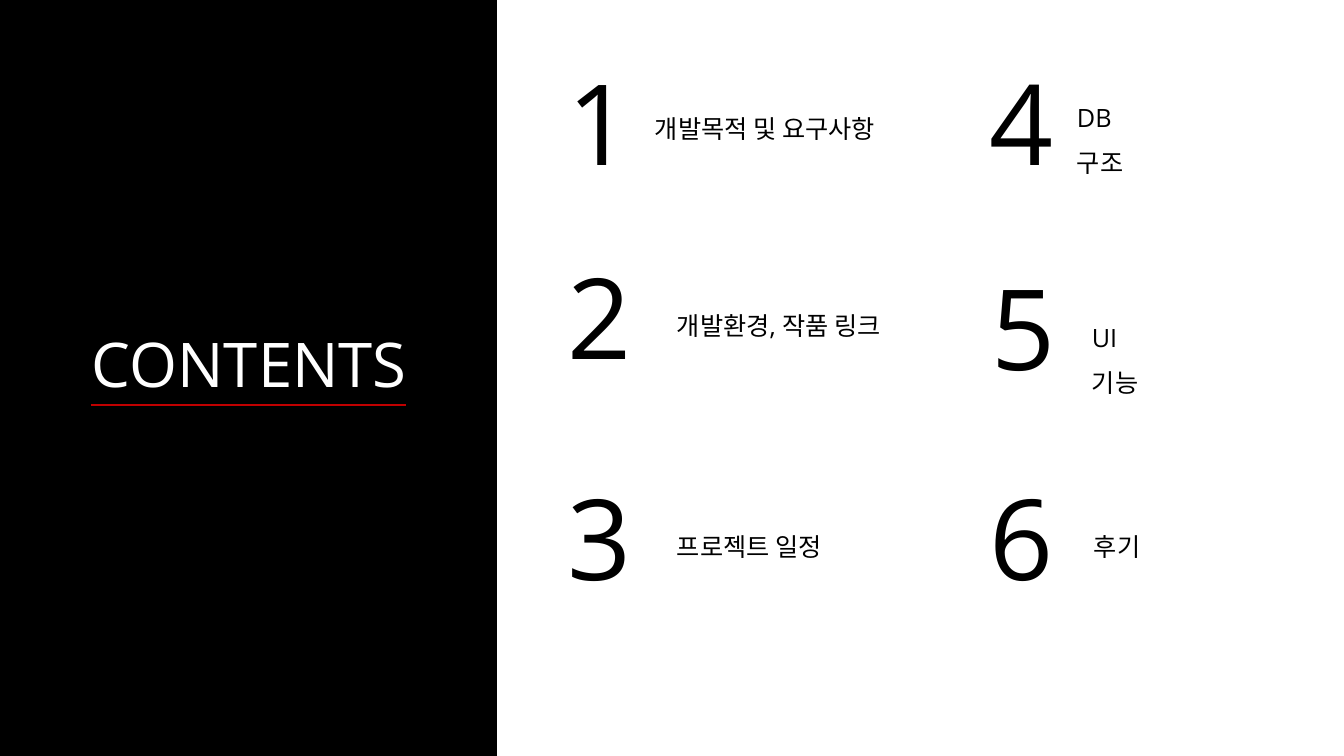
from lxml.etree import SubElement
from pptx import Presentation
from pptx.dml.color import RGBColor
from pptx.enum.shapes import MSO_CONNECTOR, MSO_SHAPE
from pptx.enum.text import MSO_ANCHOR, MSO_AUTO_SIZE, PP_ALIGN
from pptx.oxml.ns import qn
from pptx.util import Pt

PX = 914400 / 100.8
COLORS = {"black": "000000", "white": "FFFFFF", "red": "C00000"}
LATIN, KOREAN = "Open Sans", "Noto Sans CJK KR"

TITLE = "CONTENTS"
# number, (left, top), label, label box, label font, label wraps
ITEMS = [
    ("1", (558, 49), "개발목적 및 요구사항", (645, 93, 259, 56), KOREAN, False),
    ("2", (558, 243), "개발환경, 작품 링크", (667, 290, 240, 56), LATIN, False),
    ("3", (558, 464), "프로젝트 일정", (667, 511, 177, 50), LATIN, False),
    ("4", (980, 49), "DB 구조", (1067, 82, 96, 50), LATIN, True),
    ("5", (982, 254), "UI 기능", (1082, 302, 90, 50), LATIN, True),
    ("6", (980, 464), "후기", (1084, 511, 72, 50), LATIN, False),
]
NUMBER_SIZE = (86, 146)


def emu(*lengths):
    return [round(n * PX) for n in lengths]


def color(name):
    return RGBColor.from_string(COLORS[name])


def write(s, text, size, ink="black", font=LATIN, wrap=False, spacing=None):
    tf = s.text_frame
    tf.text = text
    tf.word_wrap = wrap
    tf.auto_size = MSO_AUTO_SIZE.SHAPE_TO_FIT_TEXT
    tf.vertical_anchor = MSO_ANCHOR.TOP
    p = tf.paragraphs[0]
    if spacing:
        p.line_spacing = spacing
    r = p.runs[0]
    r.font.size = Pt(size)
    r.font.name = font
    r.font.color.rgb = color(ink)
    SubElement(r.font._element, qn("a:ea")).set("typeface", KOREAN)
    return p


prs = Presentation()
prs.slide_width, prs.slide_height = emu(1344, 756)
slide = prs.slides.add_slide(prs.slide_layouts[5])
shapes = slide.shapes

# Black side panel, placed behind the title
panel = shapes.add_shape(MSO_SHAPE.RECTANGLE, *emu(0, 0, 497, 756))
panel.shadow.inherit = False
panel.fill.solid()
panel.fill.fore_color.rgb = color("black")
panel.line.fill.background()
title = shapes.title
panel._element.addnext(title._element)

# Title and its underline
title.left, title.top, title.width, title.height = emu(71, 321, 357, 85)
write(title, TITLE, 44, "white").alignment = PP_ALIGN.CENTER
underline = shapes.add_connector(MSO_CONNECTOR.STRAIGHT, *emu(91, 405, 406, 405))
underline.line.color.rgb = color("red")
underline.line.width = Pt(1.5)
SubElement(underline._element.spPr, qn("a:effectLst"))

# Numbered contents
for number, corner, label, box, font, wrap in ITEMS:
    write(shapes.add_textbox(*emu(*corner, *NUMBER_SIZE)), number, 80)
    write(shapes.add_textbox(*emu(*box)), label, 18, font=font, wrap=wrap, spacing=1.5)

prs.save("out.pptx")
